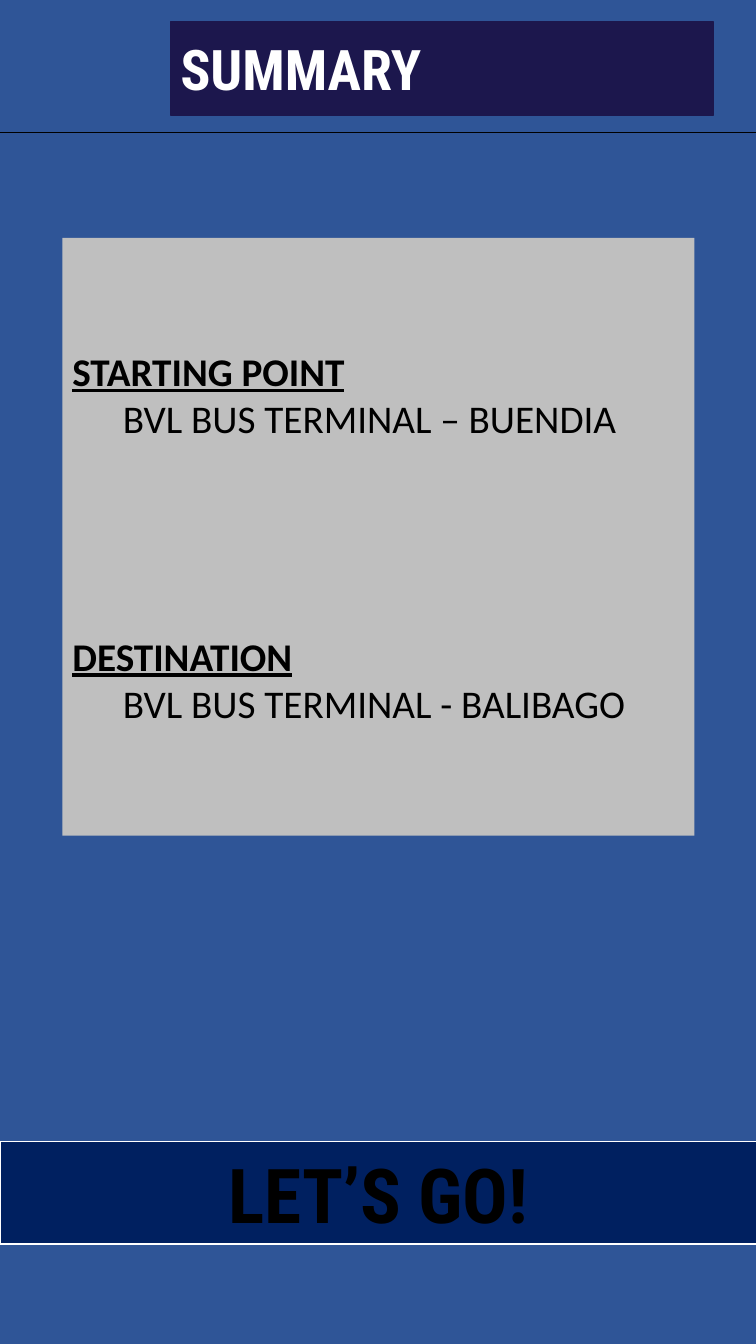
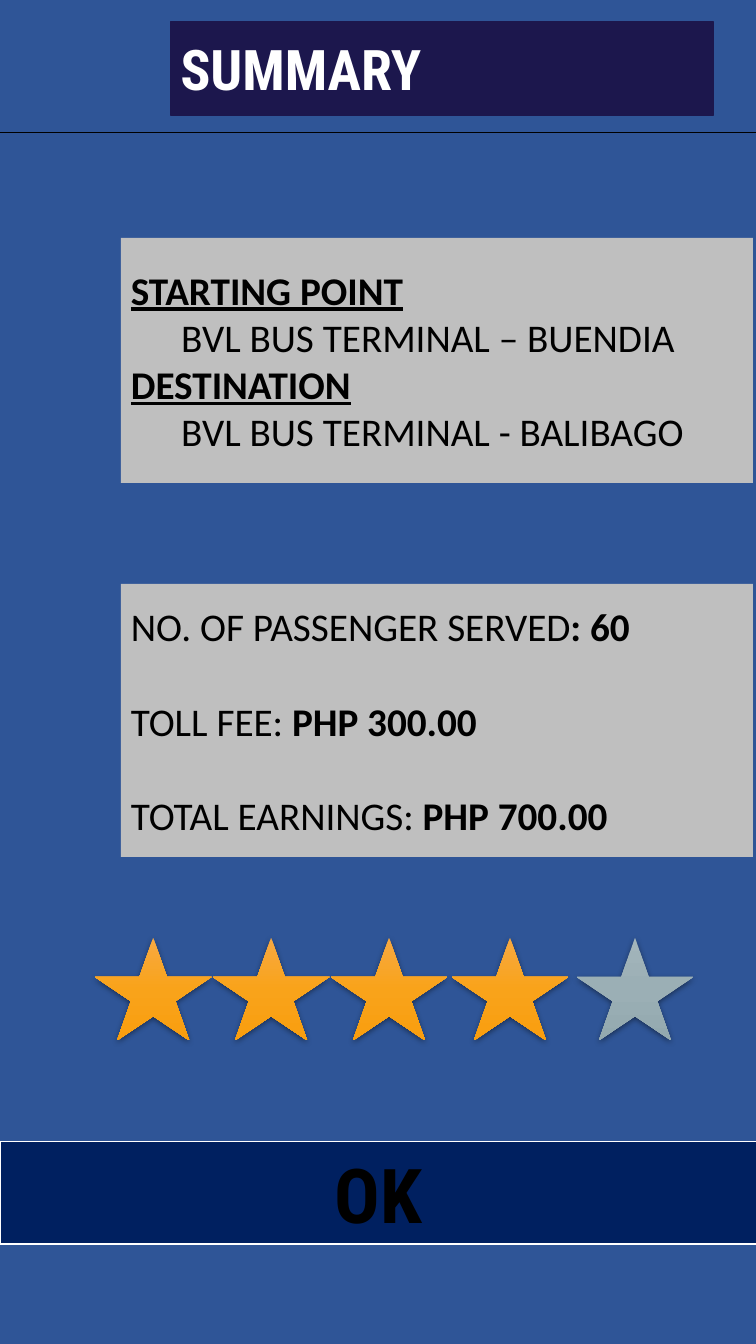
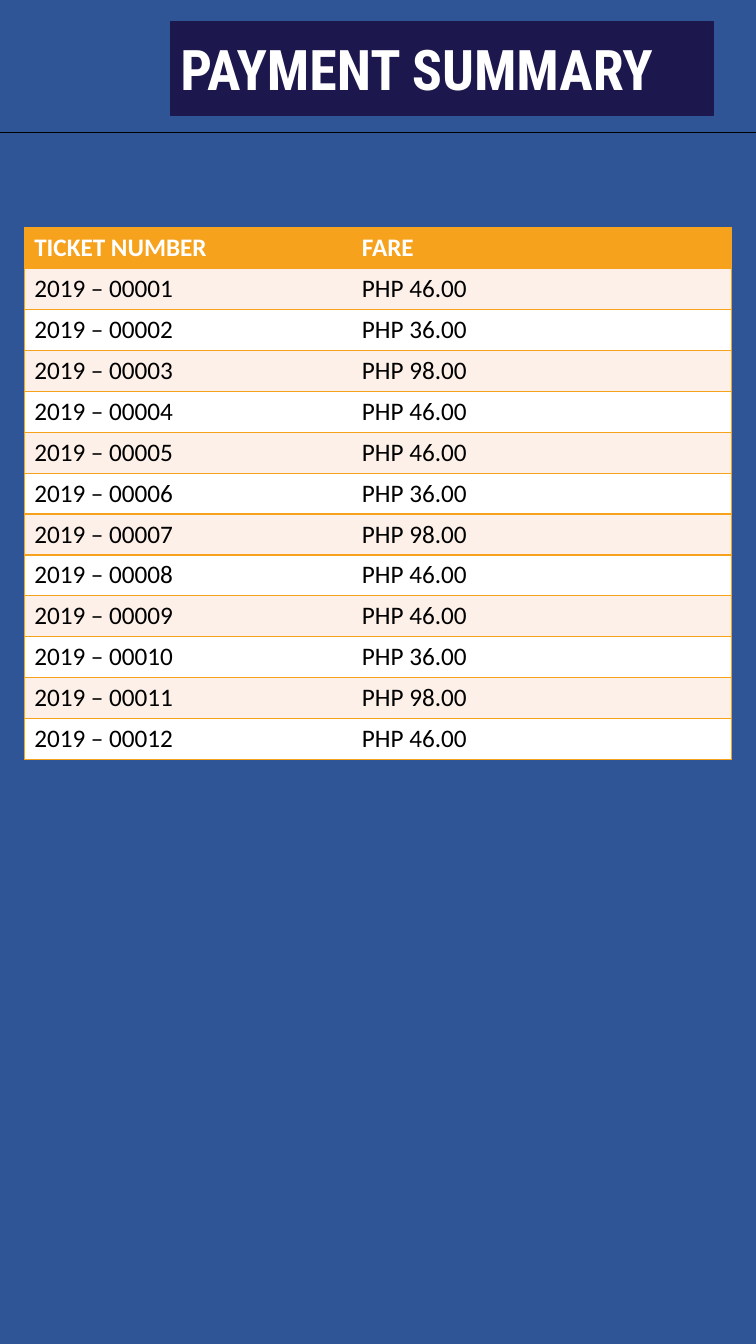
import copy
from dataclasses import dataclass
from typing import Optional

import lxml.etree
import pptx
import pptx.dml.color
import pptx.enum.shapes
import pptx.enum.text
import pptx.oxml.ns
import pptx.presentation
import pptx.shapes.autoshape
import pptx.slide
import pptx.table
import pptx.util

Inches = pptx.util.Inches
Pt = pptx.util.Pt
RGBColor = pptx.dml.color.RGBColor
MSO_SHAPE = pptx.enum.shapes.MSO_SHAPE
PP_ALIGN = pptx.enum.text.PP_ALIGN
qn = pptx.oxml.ns.qn

# Shared look
BLUE = RGBColor(0x2F, 0x55, 0x97)
INDIGO = RGBColor(0x1C, 0x17, 0x4D)
NAVY = RGBColor(0x00, 0x20, 0x60)
GRAY = RGBColor(0xBF, 0xBF, 0xBF)
WHITE = RGBColor(0xFF, 0xFF, 0xFF)
BLACK = RGBColor(0x00, 0x00, 0x00)
ORANGE = RGBColor(0xF6, 0xA2, 0x1D)
CREAM = RGBColor(0xFD, 0xF0, 0xE8)
GOLD_STOPS = (RGBColor(0xF7, 0xA9, 0x42), RGBColor(0xF9, 0xA3, 0x1A), RGBColor(0xF9, 0x9E, 0x0F))
SILVER_STOPS = (RGBColor(0xA3, 0xB5, 0xBB), RGBColor(0x9B, 0xAF, 0xB5), RGBColor(0x93, 0xA9, 0xAF))
BODY_FONT = "Calibri"
HEADING_FONT = "Roboto Condensed"
PAGE_WIDTH = 7.5
PAGE_HEIGHT = 13.33


@dataclass(frozen=True)
class Span:
    text: str
    bold: bool = False
    underline: bool = False


@dataclass(frozen=True)
class Para:
    spans: tuple[Span, ...]
    indent: float = 0
    space_before: float = 0


@dataclass(frozen=True)
class TextStyle:
    font: str
    size: float
    color: RGBColor
    align: PP_ALIGN = PP_ALIGN.LEFT


@dataclass(frozen=True)
class Box:
    left: float
    top: float
    width: float
    height: float
    fill: RGBColor
    line: Optional[RGBColor] = None


TITLE_STYLE = TextStyle(HEADING_FONT, 40, WHITE)
BUTTON_STYLE = TextStyle(HEADING_FONT, 54, BLACK, PP_ALIGN.CENTER)
BODY_STYLE = TextStyle(BODY_FONT, 28, BLACK)
TITLE_BOX = Box(1.69, 0.22, 5.39, 0.92, INDIGO, INDIGO)
BUTTON_BOX = Box(0, 11.32, 7.51, 1.02, NAVY, WHITE)

STAR_LEFTS = (0.94, 2.11, 3.28, 4.48, 5.72)
RATING = 4
FARES = ("46.00", "36.00", "98.00", "46.00")
TICKET_COUNT = 12


def route(gap: float = 0) -> tuple[Para, ...]:
    """Start and end of the trip, with a gap in points between them."""
    return (
        Para((Span("STARTING POINT", True, True),)),
        Para((Span("BVL BUS TERMINAL – BUENDIA"),), indent=0.5),
        Para((Span("DESTINATION", True, True),), space_before=gap),
        Para((Span("BVL BUS TERMINAL - BALIBAGO"),), indent=0.5),
    )


def add_box(page: pptx.slide.Slide, box: Box, paras: tuple[Para, ...], style: TextStyle) -> None:
    shape = page.shapes.add_shape(
        MSO_SHAPE.RECTANGLE, Inches(box.left), Inches(box.top), Inches(box.width), Inches(box.height)
    )
    shape.shadow.inherit = False
    shape.fill.solid()
    shape.fill.fore_color.rgb = box.fill
    if box.line is None:
        shape.line.fill.background()
    else:
        shape.line.color.rgb = box.line
        shape.line.width = Pt(1)
    frame = shape.text_frame
    frame.word_wrap = True
    frame.vertical_anchor = pptx.enum.text.MSO_ANCHOR.MIDDLE
    for index, para in enumerate(paras):
        paragraph = frame.add_paragraph() if index else frame.paragraphs[0]
        paragraph.alignment = style.align
        paragraph.space_before = Pt(para.space_before)
        if para.indent:
            paragraph._p.get_or_add_pPr().set("marL", str(Inches(para.indent)))
        for span in para.spans:
            run = paragraph.add_run()
            run.text = span.text
            run.font.name = style.font
            run.font.size = Pt(style.size)
            run.font.color.rgb = style.color
            run.font.bold = span.bold
            run.font.underline = span.underline


def add_page(deck: pptx.presentation.Presentation, title: str) -> pptx.slide.Slide:
    """A blank page with the title band and the rule under it."""
    page = deck.slides.add_slide(deck.slide_layouts[6])
    add_box(page, TITLE_BOX, (Para((Span(title, True),)),), TITLE_STYLE)
    rule = page.shapes.add_connector(
        pptx.enum.shapes.MSO_CONNECTOR.STRAIGHT, Inches(0), Inches(1.31), Inches(PAGE_WIDTH), Inches(1.31)
    )
    rule.line.color.rgb = BLACK
    rule.line.width = Pt(0.5)
    lxml.etree.SubElement(rule._element.spPr, qn("a:effectLst"))
    return page


def add_button(page: pptx.slide.Slide, label: str) -> None:
    add_box(page, BUTTON_BOX, (Para((Span(label, True),)),), BUTTON_STYLE)


def add_star(page: pptx.slide.Slide, left: float, colors: tuple[RGBColor, ...]) -> None:
    star = page.shapes.add_shape(
        MSO_SHAPE.STAR_5_POINT, Inches(left), Inches(9.3), Inches(1.16), Inches(1.02)
    )
    star.line.fill.background()
    # Three-stop gradient, top to bottom
    star.fill.gradient()
    star.fill.gradient_angle = 270
    properties = star._element.spPr
    stops = properties.find(".//" + qn("a:gsLst"))
    middle = copy.deepcopy(stops[0])
    middle.set("pos", "50000")
    stops.insert(1, middle)
    for stop, color in zip(star.fill.gradient_stops, colors):
        stop.color.rgb = color
    # Soft shadow below
    star.shadow.inherit = False
    shadow = lxml.etree.SubElement(
        properties.find(qn("a:effectLst")), qn("a:outerShdw"),
        blurRad=str(Pt(4.4)), dist=str(Pt(1.2)), dir="5400000", algn="ctr", rotWithShape="0",
    )
    shade = lxml.etree.SubElement(shadow, qn("a:srgbClr"), val=str(BLACK))
    lxml.etree.SubElement(shade, qn("a:alpha"), val="45000")


def set_borders(cell: pptx.table._Cell, sides: str) -> None:
    """Draw the named sides (L, R, T, B) and clear the others."""
    properties = cell._tc.get_or_add_tcPr()
    for side in "LRTB":
        border = lxml.etree.SubElement(properties, qn(f"a:ln{side}"), w=str(Pt(1)))
        if side in sides:
            fill = lxml.etree.SubElement(border, qn("a:solidFill"))
            lxml.etree.SubElement(fill, qn("a:srgbClr"), val=str(ORANGE))
        else:
            lxml.etree.SubElement(border, qn("a:noFill"))


def add_fare_table(page: pptx.slide.Slide) -> None:
    rows = [("TICKET NUMBER", "FARE")]
    for number in range(TICKET_COUNT):
        rows.append((f"2019 – {number + 1:05d}", f"PHP {FARES[number % len(FARES)]}"))
    table = page.shapes.add_table(
        len(rows), 2, Inches(0.24), Inches(2.26), Inches(7.02), Inches(5.27)
    ).table
    for column, width in zip(table.columns, (3.25, 3.77)):
        column.width = Inches(width)
    for row_index, row in enumerate(rows):
        header = row_index == 0
        fill = ORANGE if header else (CREAM if row_index % 2 else WHITE)
        for column_index, text in enumerate(row):
            cell = table.cell(row_index, column_index)
            set_borders(cell, "RTB" if column_index else "LTB")
            cell.fill.solid()
            cell.fill.fore_color.rgb = fill
            cell.text_frame.text = text
            font = cell.text_frame.paragraphs[0].runs[0].font
            font.name = BODY_FONT
            font.size = Pt(18)
            font.bold = header
            font.color.rgb = WHITE if header else BLACK


def main() -> None:
    deck = pptx.Presentation()
    deck.slide_width = Inches(PAGE_WIDTH)
    deck.slide_height = Inches(PAGE_HEIGHT)
    background = deck.slide_master.background.fill
    background.solid()
    background.fore_color.rgb = BLUE

    # Trip about to start
    page = add_page(deck, "SUMMARY")
    add_box(page, Box(0.62, 2.36, 6.27, 5.93, GRAY), route(gap=136), BODY_STYLE)
    add_button(page, "LET’S GO!")

    # Trip finished: route, earnings, rating
    page = add_page(deck, "SUMMARY")
    add_box(page, Box(1.2, 2.36, 6.27, 2.43, GRAY), route(), BODY_STYLE)
    earnings = (
        Para((Span("NO. OF PASSENGER SERVED"), Span(": 60", True))),
        Para((Span("TOLL FEE: "), Span("PHP 300.00", True)), space_before=34),
        Para((Span("TOTAL EARNINGS: "), Span("PHP 700.00", True)), space_before=34),
    )
    add_box(page, Box(1.2, 5.79, 6.27, 2.71, GRAY), earnings, BODY_STYLE)
    for index, left in enumerate(STAR_LEFTS):
        add_star(page, left, GOLD_STOPS if index < RATING else SILVER_STOPS)
    add_button(page, "OK")

    # Fares paid
    page = add_page(deck, "PAYMENT SUMMARY")
    add_fare_table(page)

    deck.save("out.pptx")


if __name__ == "__main__":
    main()
